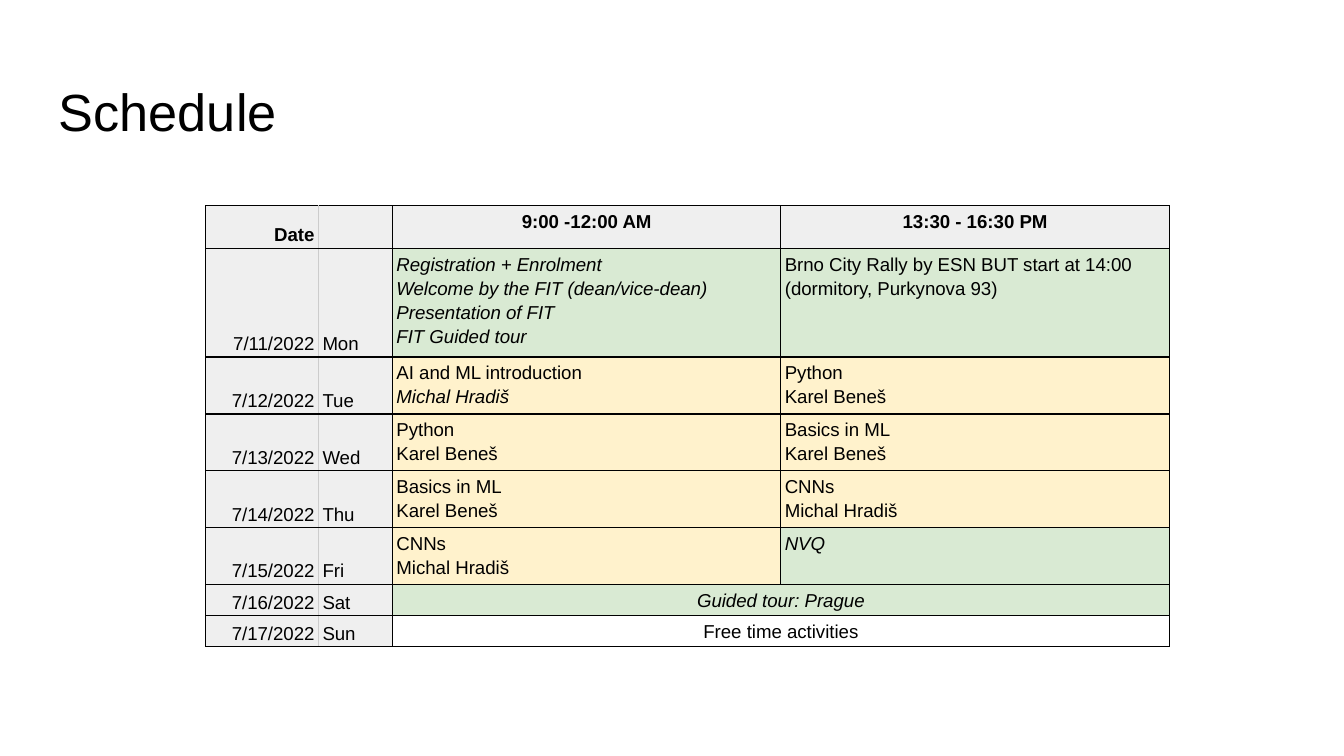
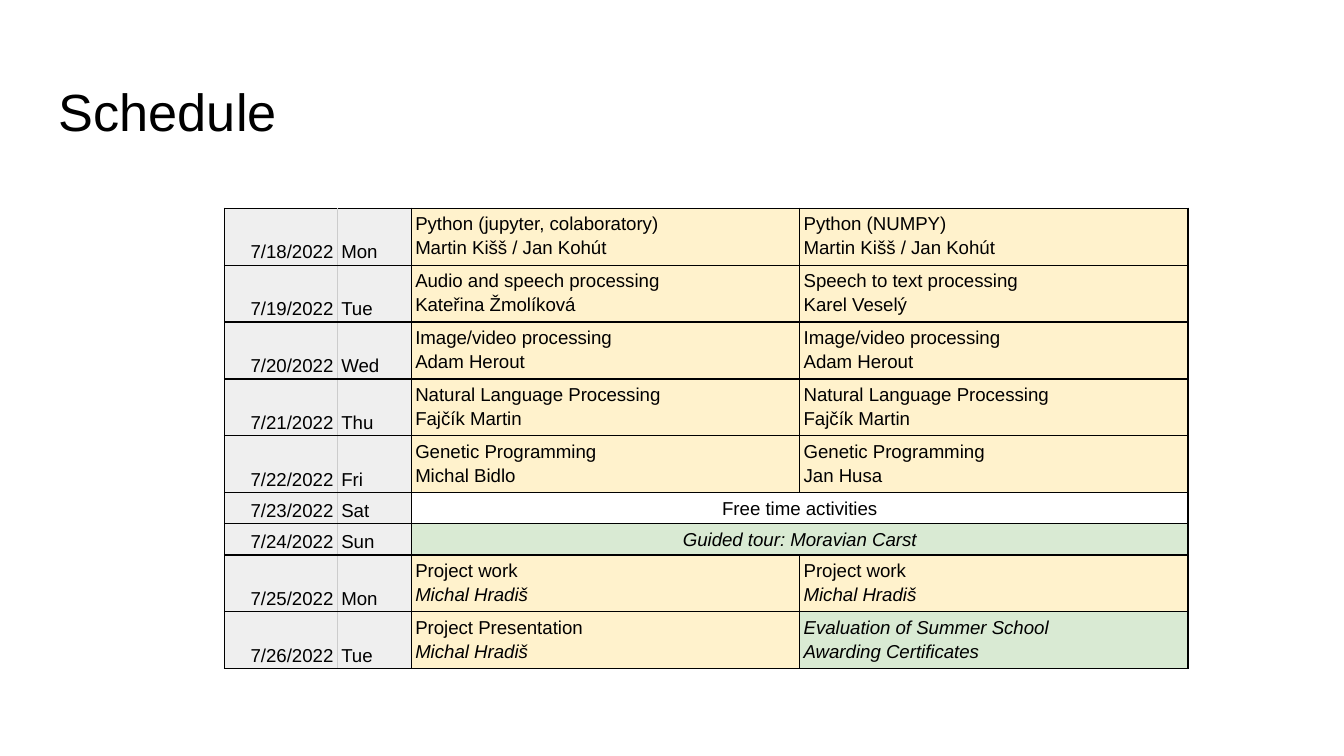
from dataclasses import dataclass

from lxml import etree
from pptx import Presentation
from pptx.dml.color import RGBColor
from pptx.enum.text import MSO_ANCHOR, PP_ALIGN
from pptx.oxml.ns import qn
from pptx.util import Inches, Pt

LEFT, CENTER, RIGHT = PP_ALIGN.LEFT, PP_ALIGN.CENTER, PP_ALIGN.RIGHT
TOP, BOTTOM = MSO_ANCHOR.TOP, MSO_ANCHOR.BOTTOM

FONT = "Arial"
COLORS = {
    "text": "000000",
    "border": "000000",
    "divider": "CCCCCC",
    "header": "EFEFEF",
    "event": "D9EAD3",
    "lesson": "FFF2CC",
    "free": None,
}
COLUMN_WIDTHS = (0.84, 0.55, 2.89, 2.89)
WEEKDAYS = ("Mon", "Tue", "Wed", "Thu", "Fri", "Sat", "Sun")
HEADER_HEIGHT = 0.32
ROW_HEIGHTS = {1: 0.22, 2: 0.4, 4: 0.76}


@dataclass
class Session:
    kind: str
    lines: tuple
    italic_from: int = 99


def lesson(topic, teacher, italic_from=99):
    return Session("lesson", (topic, teacher), italic_from)


def event(*lines, italic_from=0):
    return Session("event", lines, italic_from)


FREE_TIME = Session("free", ("Free time activities",))
PROJECT_WORK = lesson("Project work", "Michal Hradiš", italic_from=1)
IMAGE_PROCESSING = lesson("Image/video processing", "Adam Herout")
LANGUAGE_PROCESSING = lesson("Natural Language Processing", "Fajčík Martin")
BASICS = lesson("Basics in ML", "Karel Beneš")
PYTHON = lesson("Python", "Karel Beneš")
NETWORKS = lesson("CNNs", "Michal Hradiš")

FIRST_WEEK = [
    (
        event("Registration + Enrolment", "Welcome by the FIT (dean/vice-dean)",
              "Presentation of FIT", "FIT Guided tour"),
        event("Brno City Rally by ESN BUT start at 14:00 (dormitory, Purkynova 93)",
              italic_from=99),
    ),
    (lesson("AI and ML introduction", "Michal Hradiš", italic_from=1), PYTHON),
    (PYTHON, BASICS),
    (BASICS, NETWORKS),
    (NETWORKS, event("NVQ")),
    (event("Guided tour: Prague"),),
    (FREE_TIME,),
]
SECOND_WEEK = [
    (
        lesson("Python (jupyter, colaboratory)", "Martin Kišš / Jan Kohút"),
        lesson("Python (NUMPY)", "Martin Kišš / Jan Kohút"),
    ),
    (
        lesson("Audio and speech processing", "Kateřina Žmolíková"),
        lesson("Speech to text processing", "Karel Veselý"),
    ),
    (IMAGE_PROCESSING, IMAGE_PROCESSING),
    (LANGUAGE_PROCESSING, LANGUAGE_PROCESSING),
    (
        lesson("Genetic Programming", "Michal Bidlo"),
        lesson("Genetic Programming", "Jan Husa"),
    ),
    (FREE_TIME,),
    (event("Guided tour: Moravian Carst"),),
    (PROJECT_WORK, PROJECT_WORK),
    (
        lesson("Project Presentation", "Michal Hradiš", italic_from=1),
        event("Evaluation of Summer School", "Awarding Certificates"),
    ),
]


def add_span(para, text, size, bold=False, italic=False):
    span = para.add_run()
    span.text = text
    span.font.name = FONT
    span.font.size = Pt(size)
    span.font.bold = bold
    span.font.italic = italic
    span.font.color.rgb = RGBColor.from_string(COLORS["text"])


def add_title(page, text):
    box = page.shapes.add_textbox(Inches(0.34), Inches(0.49), Inches(9.32), Inches(0.63))
    frame = box.text_frame
    frame.word_wrap = True
    frame.vertical_anchor = TOP
    frame.margin_left = frame.margin_right = Inches(0.1)
    frame.margin_top = frame.margin_bottom = Inches(0.1)
    add_span(frame.paragraphs[0], text, 28)


def set_borders(cell, column):
    properties = cell._tc.get_or_add_tcPr()
    colors = {side: COLORS["border"] for side in ("lnL", "lnR", "lnT", "lnB")}
    if column == 0:
        colors["lnR"] = COLORS["divider"]
    elif column == 1:
        colors["lnL"] = COLORS["divider"]
    for side, color in colors.items():
        line = etree.SubElement(properties, qn(f"a:{side}"), w=str(Pt(0.75)))
        fill = etree.SubElement(line, qn("a:solidFill"))
        etree.SubElement(fill, qn("a:srgbClr"), val=color)


def fill_cell(cell, kind, lines=(), align=LEFT, anchor=TOP, bold=False, italic_from=99):
    cell.margin_left = cell.margin_right = Inches(0.03)
    cell.margin_top = cell.margin_bottom = Inches(0.02 if lines else 0.01)
    cell.vertical_anchor = anchor
    color = COLORS[kind]
    if color:
        cell.fill.solid()
        cell.fill.fore_color.rgb = RGBColor.from_string(color)
    else:
        cell.fill.background()
    frame = cell.text_frame
    for index, text in enumerate(lines):
        para = frame.add_paragraph() if index else frame.paragraphs[0]
        para.alignment = align
        para.line_spacing = 1.15
        add_span(para, text, 10, bold, index >= italic_from)


def fill_header(table):
    table.rows[0].height = Inches(HEADER_HEIGHT)
    fill_cell(table.cell(0, 0), "header", ("Date",), RIGHT, BOTTOM, bold=True)
    fill_cell(table.cell(0, 1), "header")
    for column, hours in enumerate(("9:00 -12:00 AM", "13:30 - 16:30 PM"), start=2):
        fill_cell(table.cell(0, column), "header", (hours,), CENTER, bold=True)


def fill_day(table, row, day, weekday, sessions):
    fill_cell(table.cell(row, 0), "header", (f"7/{day}/2022",), RIGHT, BOTTOM)
    fill_cell(table.cell(row, 1), "header", (weekday,), LEFT, BOTTOM)
    whole_day = len(sessions) == 1
    if whole_day:
        table.cell(row, 2).merge(table.cell(row, 3))
    for column, session in enumerate(sessions, start=2):
        fill_cell(table.cell(row, column), session.kind, session.lines,
                  CENTER if whole_day else LEFT, italic_from=session.italic_from)
    line_count = max(len(session.lines) for session in sessions)
    table.rows[row].height = Inches(ROW_HEIGHTS[line_count])


def add_schedule(page, left, top, first_day, days, with_header=False):
    offset = 1 if with_header else 0
    row_count = len(days) + offset
    holder = page.shapes.add_table(
        row_count, len(COLUMN_WIDTHS), Inches(left), Inches(top),
        Inches(sum(COLUMN_WIDTHS)), Inches(ROW_HEIGHTS[1] * row_count))
    table = holder.table
    table.first_row = table.horz_banding = False
    for column, width in enumerate(COLUMN_WIDTHS):
        table.columns[column].width = Inches(width)
        for row in range(row_count):
            set_borders(table.cell(row, column), column)
    if with_header:
        fill_header(table)
    for index, sessions in enumerate(days):
        fill_day(table, index + offset, first_day + index,
                 WEEKDAYS[index % len(WEEKDAYS)], sessions)
    holder.height = sum(row.height for row in table.rows)


def add_page(deck):
    page = deck.slides.add_slide(deck.slide_layouts[6])
    add_title(page, "Schedule")
    return page


def main():
    deck = Presentation()
    deck.slide_width = Inches(10)
    deck.slide_height = deck.slide_width * 9 // 16
    add_schedule(add_page(deck), 1.53, 1.53, 11, FIRST_WEEK, with_header=True)
    add_schedule(add_page(deck), 1.67, 1.55, 18, SECOND_WEEK)
    deck.save("out.pptx")


if __name__ == "__main__":
    main()
